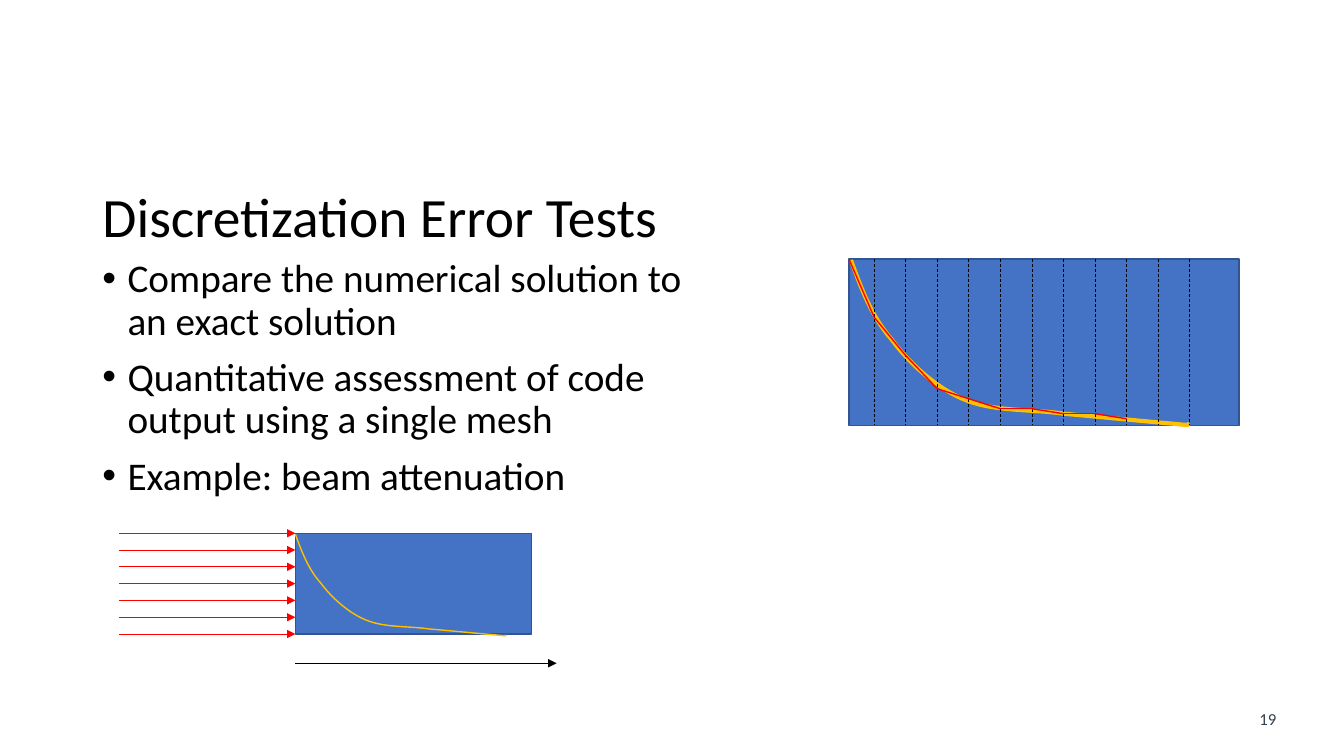
from itertools import pairwise
from lxml.etree import SubElement
from pptx import Presentation
from pptx.dml.color import RGBColor
from pptx.enum.dml import MSO_LINE
from pptx.enum.shapes import MSO_CONNECTOR, MSO_SHAPE
from pptx.enum.text import MSO_ANCHOR, PP_ALIGN
from pptx.oxml.ns import qn
from pptx.util import Inches, Pt

# Content
TITLE = "Discretization Error Tests"
BULLETS = [
    "Compare the numerical solution to an exact solution",
    "Quantitative assessment of code output using a single mesh",
    "Example: beam attenuation",
]
PAGE_NUMBER = "19"
# Exact solution: Bezier points as shares of the curve's width and height
EXACT_CURVE = [
    (0, 0), (0.03, 0.17), (0.06, 0.34), (0.12, 0.48),
    (0.17, 0.62), (0.25, 0.77), (0.33, 0.84),
    (0.42, 0.92), (0.53, 0.9), (0.63, 0.93),
    (0.74, 0.95), (0.89, 0.98), (0.95, 0.99),
    (1, 1), (1, 1), (0.99, 0.99),
]
# Numerical solution at the slab's face and at each mesh line, as shares of slab height
NUMERICAL = [0, 0.35, 0.58, 0.78, 0.84, 0.9, 0.9, 0.93, 0.93, 0.96]

# Layout in inches: left, top, width, height
MARGIN = 11 / 12
TITLE_BOX = (MARGIN, 1.83, 11.5, 0.7)
BODY_BOX = (MARGIN, 2.52, 6.37, 4.36)
NUMBER_BOX = (12.34, 6.98, 0.47, 0.3)
BEAM_SLAB = (2.93, 5.29, 2.34, 1)
MESH_SLAB = (8.42, 2.57, 3.87, 1.65)
BEAM_CURVE = (2.93, 5.3, 2.1, 1.01)
MESH_CURVE = (8.44, 2.58, 3.36, 1.64)
BEAM_START, BEAM_COUNT = 1.18, 7
AXIS_TOP, AXIS_END = 6.58, 5.52
MESH_START, MESH_END, MESH_COUNT = 8.67, 11.8, 11

BLACK, RED, GOLD, BLUE, NAVY, SLATE = (
    "000000", "FF0000", "FFC000", "4472C4", "325491", "333F50")


def color(value):
    return RGBColor.from_string(value)


def style_line(line, value, width):
    line.color.rgb = color(value)
    line.width = Pt(width)


def write(paragraph, text, size, value=BLACK, align=PP_ALIGN.LEFT,
          spacing=1.0, before=0, bullet=False):
    if bullet:
        properties = paragraph._p.get_or_add_pPr()
        properties.set("marL", str(Inches(0.25)))
        properties.set("indent", str(-Inches(0.25)))
        SubElement(properties, qn("a:buFont"), typeface="Arial")
        SubElement(properties, qn("a:buChar"), char="•")
    paragraph.alignment = align
    paragraph.line_spacing = spacing
    paragraph.space_before = Pt(before)
    run = paragraph.add_run()
    run.text = text
    run.font.name = "Calibri"
    run.font.size = Pt(size)
    run.font.color.rgb = color(value)


def add_text_box(slide, box):
    frame = slide.shapes.add_textbox(*map(Inches, box)).text_frame
    frame.word_wrap = True
    return frame


def add_line(slide, start, end, value, width=0.5, arrow=False, dashed=False):
    connector = slide.shapes.add_connector(
        MSO_CONNECTOR.STRAIGHT, *map(Inches, (*start, *end)))
    style_line(connector.line, value, width)
    if dashed:
        connector.line.dash_style = MSO_LINE.DASH
    if arrow:
        SubElement(connector.line._get_or_add_ln(), qn("a:tailEnd"), type="triangle")
    SubElement(connector._element.spPr, qn("a:effectLst"))
    return connector


def add_slab(slide, box):
    slab = slide.shapes.add_shape(MSO_SHAPE.RECTANGLE, *map(Inches, box))
    slab.shadow.inherit = False
    slab.fill.solid()
    slab.fill.fore_color.rgb = color(BLUE)
    style_line(slab.line, NAVY, 1)
    return slab


def add_exact_curve(slide, box, width):
    left, top, across, down = box
    start, *points = [(Inches(left + x * across), Inches(top + y * down))
                      for x, y in EXACT_CURVE]
    builder = slide.shapes.build_freeform(*start)
    builder.add_line_segments(points, close=False)
    curve = builder.convert_to_shape()
    # Join every three points into one cubic segment
    outline = next(curve._element.iter(qn("a:path")))
    segments = outline.findall(qn("a:lnTo"))
    for first in range(0, len(segments), 3):
        cubic = SubElement(outline, qn("a:cubicBezTo"))
        for segment in segments[first:first + 3]:
            cubic.append(segment[0])
            outline.remove(segment)
    curve.shadow.inherit = False
    curve.fill.background()
    style_line(curve.line, GOLD, width)


def add_beam_example(slide):
    left, top, _, height = BEAM_SLAB
    slab = add_slab(slide, BEAM_SLAB)
    for index in range(BEAM_COUNT):
        y = top + height * index / (BEAM_COUNT - 1)
        beam = add_line(slide, (BEAM_START, y), (left, y), RED, arrow=True)
        if index == BEAM_COUNT // 2:
            beam.end_connect(slab, 1)
    add_line(slide, (left, AXIS_TOP), (AXIS_END, AXIS_TOP), BLACK, arrow=True)
    add_exact_curve(slide, BEAM_CURVE, 1)


def add_mesh_example(slide):
    left, top, _, height = MESH_SLAB
    add_slab(slide, MESH_SLAB)
    add_exact_curve(slide, MESH_CURVE, 3)
    step = (MESH_END - MESH_START) / (MESH_COUNT - 1)
    mesh = [MESH_START + step * index for index in range(MESH_COUNT)]
    for x in mesh:
        add_line(slide, (x, top), (x, top + height), BLACK, dashed=True)
    solution = [(x, top + share * height) for x, share in zip([left, *mesh], NUMERICAL)]
    for start, end in pairwise(solution):
        add_line(slide, start, end, RED, width=1)


def main():
    presentation = Presentation()
    presentation.slide_width = Inches(13.33)
    presentation.slide_height = Inches(7.5)
    slide = presentation.slides.add_slide(presentation.slide_layouts[5])

    # Title, bullets and page number
    title = slide.shapes.title
    title.left, title.top, title.width, title.height = map(Inches, TITLE_BOX)
    title.text_frame.vertical_anchor = MSO_ANCHOR.MIDDLE
    write(title.text_frame.paragraphs[0], TITLE, 39.6, spacing=0.9)

    body = add_text_box(slide, BODY_BOX)
    for index, text in enumerate(BULLETS):
        paragraph = body.add_paragraph() if index else body.paragraphs[0]
        write(paragraph, text, 28, spacing=0.9, before=10 if index else 0, bullet=True)

    number = add_text_box(slide, NUMBER_BOX)
    write(number.paragraphs[0], PAGE_NUMBER, 12, SLATE, PP_ALIGN.CENTER)

    # Diagrams
    add_beam_example(slide)
    add_mesh_example(slide)
    presentation.save("out.pptx")


if __name__ == "__main__":
    main()
